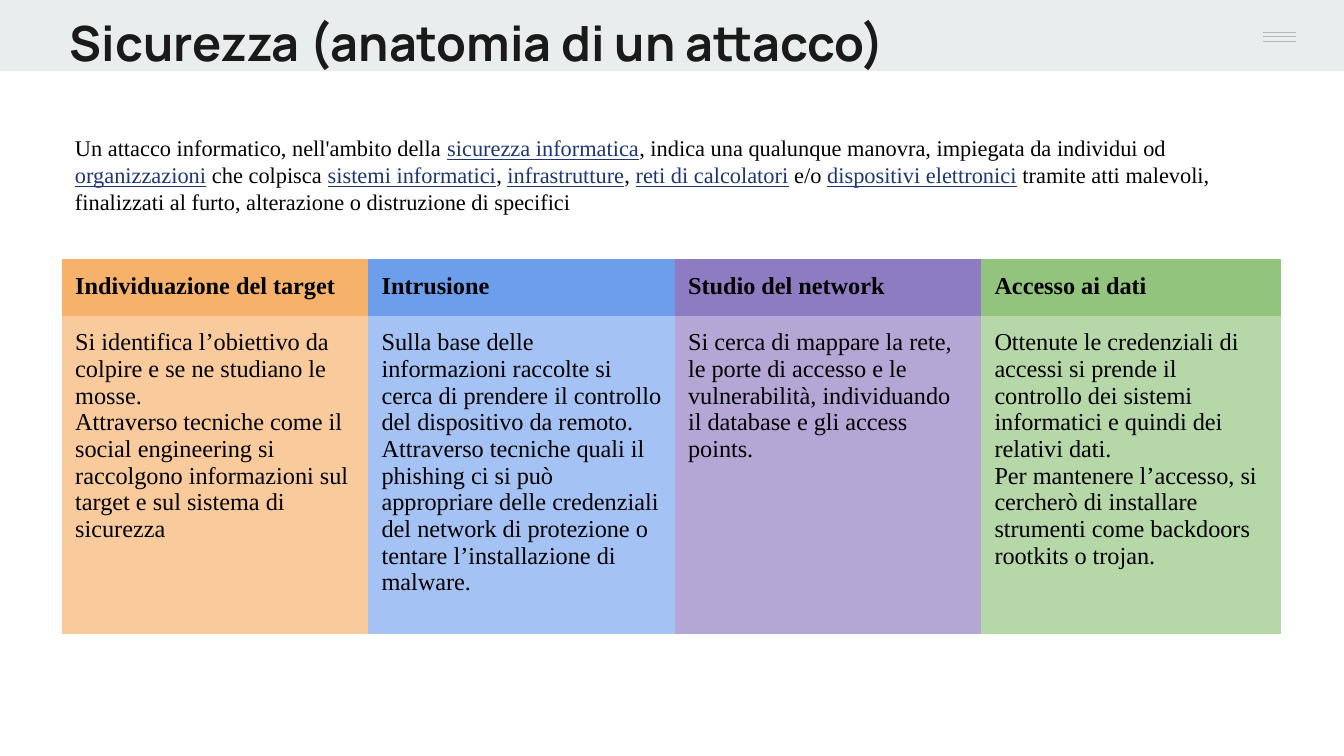
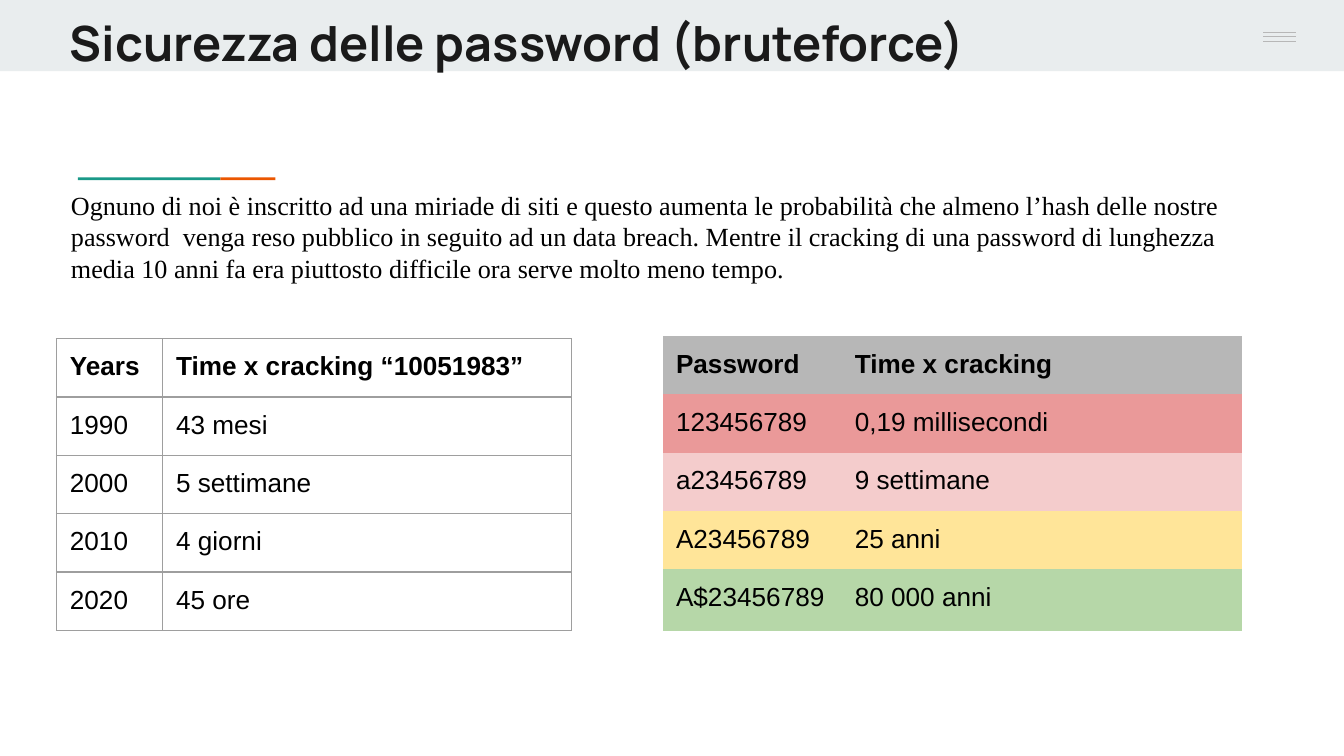
from lxml import etree
from pptx import Presentation
from pptx.dml.color import RGBColor
from pptx.enum.shapes import MSO_CONNECTOR, MSO_SHAPE
from pptx.oxml.ns import qn
from pptx.util import Inches, Pt

BAND, MENU, BORDER = "E9EDEE", "B7B7B7", "9E9E9E"
TEAL, ORANGE, LINK = "1A9988", "EB5600", "1C3678"
NO_GRID_STYLE = "{2D5ABB26-0587-4C30-8999-92F81FD0307C}"

TITLE = {"name": "Manrope", "size": Pt(26), "bold": True, "color": "1A1A1A"}
SERIF = {"name": "Times New Roman", "size": Pt(12), "bold": False, "color": "000000"}
STAGE = SERIF | {"size": Pt(13)}
INTRO = SERIF | {"size": Pt(14)}
SANS = INTRO | {"name": "Arial"}

ATTACK_TITLE = "Sicurezza (anatomia di un attacco)"
ATTACK_INTRO = (
    "Un attacco informatico, nell'ambito della |sicurezza informatica|, indica una "
    "qualunque manovra, impiegata da individui od |organizzazioni| che colpisca "
    "|sistemi informatici|, |infrastrutture|, |reti di calcolatori| e/o "
    "|dispositivi elettronici| tramite atti malevoli, finalizzati al furto, "
    "alterazione o distruzione di specifici"
)
STAGES = [
    ("Individuazione del target", "F6B26B", "F9CB9C", [
        "Si identifica l’obiettivo da colpire e se ne studiano le mosse.",
        "Attraverso tecniche come il social engineering si raccolgono informazioni "
        "sul  target e sul sistema di sicurezza"]),
    ("Intrusione", "6D9EEB", "A4C2F4", [
        "Sulla base delle informazioni raccolte si cerca di prendere il controllo del "
        "dispositivo da remoto. Attraverso tecniche quali il phishing ci si può "
        "appropriare delle credenziali del network di protezione o tentare "
        "l’installazione di malware."]),
    ("Studio del network", "8E7CC3", "B4A7D6", [
        "Si cerca di mappare la rete, le porte di accesso e le vulnerabilità, "
        "individuando il database e gli access points."]),
    ("Accesso ai dati", "93C47D", "B6D7A8", [
        "Ottenute le credenziali di accessi si prende il controllo dei sistemi "
        "informatici e quindi dei relativi dati.\n"
        "Per mantenere l’accesso, si cercherò di installare strumenti come backdoors "
        "rootkits o trojan."]),
]

PASSWORD_TITLE = "Sicurezza delle password (bruteforce)"
PASSWORD_INTRO = (
    "Ognuno di noi è inscritto ad una miriade di siti e questo aumenta le probabilità "
    "che almeno l’hash delle nostre password  venga reso pubblico in seguito ad un data "
    "breach. Mentre il cracking di una password di lunghezza media 10 anni fa era "
    "piuttosto difficile ora serve molto meno tempo."
)
YEARS = [
    ("Years", "Time x cracking “10051983”"),
    ("1990", "43 mesi"),
    ("2000", "5 settimane"),
    ("2010", "4 giorni"),
    ("2020", "45 ore"),
]
PASSWORDS = [
    ("Password", "Time x cracking"),
    ("123456789", "0,19 millisecondi"),
    ("a23456789", "9 settimane"),
    ("A23456789", "25 anni"),
    ("A$23456789", "80 000 anni"),
]
STRENGTH_COLORS = ["B7B7B7", "EA9999", "F4CCCC", "FFE599", "B6D7A8"]


def rgb(color):
    return RGBColor.from_string(color)


def add_run(paragraph, text, style):
    run = paragraph.add_run()
    run.text = text
    for key, value in style.items():
        if key == "color":
            run.font.color.rgb = rgb(value)
        else:
            setattr(run.font, key, value)
    return run


def set_margins(holder):
    for side in ("left", "top", "right", "bottom"):
        setattr(holder, f"margin_{side}", Inches(0.1))


def highlight(run, color):
    mark = etree.Element(qn("a:highlight"))
    etree.SubElement(mark, qn("a:srgbClr"), val=color)
    run.font._element.find(qn("a:solidFill")).addnext(mark)


def add_text(slide, place, text, style, backing=None):
    frame = slide.shapes.add_textbox(*map(Inches, place)).text_frame
    frame.word_wrap = True
    set_margins(frame)
    for index, part in enumerate(text.split("|")):
        linked = {"color": LINK, "underline": True} if index % 2 else {}
        run = add_run(frame.paragraphs[0], part, style | linked)
        if backing:
            highlight(run, backing)


def add_bar(slide, place, color):
    bar = slide.shapes.add_shape(MSO_SHAPE.RECTANGLE, *map(Inches, place))
    bar.shadow.inherit = False
    bar.fill.solid()
    bar.fill.fore_color.rgb = rgb(color)
    bar.line.fill.background()


def add_slide(deck, title):
    slide = deck.slides.add_slide(deck.slide_layouts[6])
    add_bar(slide, (0, 0, 10, 0.53), BAND)
    add_bar(slide, (0.58, 1.32, 1.06, 0.02), TEAL)
    add_bar(slide, (1.64, 1.32, 0.41, 0.02), ORANGE)
    for y in (0.24, 0.27, 0.31):
        stroke = slide.shapes.add_connector(
            MSO_CONNECTOR.STRAIGHT, Inches(9.4), Inches(y), Inches(9.64), Inches(y))
        stroke.line.color.rgb = rgb(MENU)
        stroke.line.width = Pt(0.75)
        etree.SubElement(stroke._element.spPr, qn("a:effectLst"))
    add_text(slide, (0.42, 0, 8.41, 0.59), title, TITLE)
    return slide


def add_borders(cell, color):
    properties = cell._tc.get_or_add_tcPr()
    for index, side in enumerate(("lnL", "lnR", "lnT", "lnB")):
        edge = etree.Element(qn(f"a:{side}"), w=str(Pt(0.75)))
        fill = etree.SubElement(edge, qn("a:solidFill"))
        etree.SubElement(fill, qn("a:srgbClr"), val=color)
        properties.insert(index, edge)


def fill_cell(cell, content, style):
    set_margins(cell)
    frame = cell.text_frame
    paragraphs = [content] if isinstance(content, str) else content
    for index, text in enumerate(paragraphs):
        paragraph = frame.add_paragraph() if index else frame.paragraphs[0]
        for number, line in enumerate(text.splitlines()):
            if number:
                paragraph.add_line_break()
            add_run(paragraph, line, style)


def add_grid(slide, left, top, widths, heights, rows, style, fills=None, border=None):
    table = slide.shapes.add_table(
        len(rows), len(widths), Inches(left), Inches(top),
        Inches(sum(widths)), Inches(sum(heights))).table
    table._tbl.tblPr.find(qn("a:tableStyleId")).text = NO_GRID_STYLE
    for column, width in zip(table.columns, widths):
        column.width = Inches(width)
    for r, (row, height) in enumerate(zip(rows, heights)):
        table.rows[r].height = Inches(height)
        for c, content in enumerate(row):
            cell = table.cell(r, c)
            fill_cell(cell, content, style | {"bold": r == 0})
            if fills:
                cell.fill.solid()
                cell.fill.fore_color.rgb = rgb(fills[r][c])
            else:
                cell.fill.background()
            if border:
                add_borders(cell, border)


def build_attack(deck):
    slide = add_slide(deck, ATTACK_TITLE)
    add_text(slide, (0.46, 0.9, 9.3, 0.71), ATTACK_INTRO, SERIF, "FFFFFF")
    names, head_fills, body_fills, details = zip(*STAGES)
    add_grid(slide, 0.46, 1.93, [2.28] * 3 + [2.23], [0.42] * 2,
             [names, details], STAGE, [head_fills, body_fills])


def build_password(deck):
    slide = add_slide(deck, PASSWORD_TITLE)
    add_text(slide, (0.43, 1.31, 9.14, 0.82), PASSWORD_INTRO, INTRO)
    add_grid(slide, 0.42, 2.52, [0.79, 3.04], [0.42] * 5, YEARS, SANS, border=BORDER)
    add_grid(slide, 4.93, 2.5, [1.33, 2.98], [0.42, 0.4, 0.42, 0.41, 0.46],
             PASSWORDS, SANS, [[color] * 2 for color in STRENGTH_COLORS])


def main():
    deck = Presentation()
    deck.slide_width = Inches(10)
    deck.slide_height = deck.slide_width * 9 // 16
    build_attack(deck)
    build_password(deck)
    deck.save("out.pptx")


if __name__ == "__main__":
    main()
